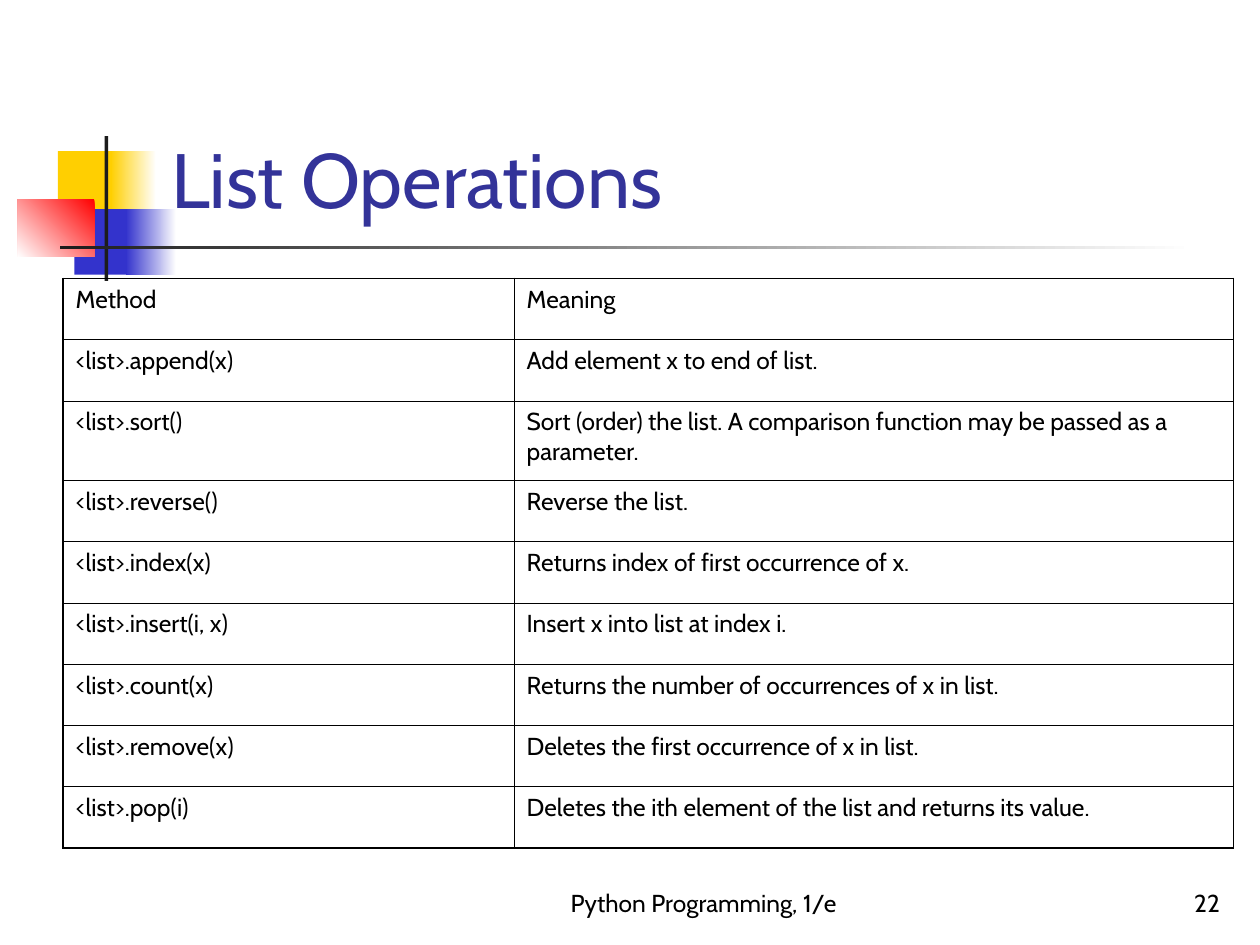
from pptx import Presentation
from pptx.dml.color import RGBColor
from pptx.enum import shapes, text
from pptx.oxml import parse_xml
from pptx.oxml.ns import nsdecls
from pptx.util import Inches, Pt

BLACK, WHITE, DARK = "000000", "FFFFFF", "1C1C1C"
YELLOW, BLUE, RED, NAVY = "FFCF01", "3333CC", "FF0000", "333399"
THIN, THICK = 0.45, 1.08
METHODS = [
    ("Method", "Meaning"),
    ("<list>.append(x)", "Add element x to end of list."),
    ("<list>.sort()", "Sort (order) the list. A comparison function may be passed as a parameter."),
    ("<list>.reverse()", "Reverse the list."),
    ("<list>.index(x)", "Returns index of first occurrence of x."),
    ("<list>.insert(i, x)", "Insert x into list at index i."),
    ("<list>.count(x)", "Returns the number of occurrences of x in list."),
    ("<list>.remove(x)", "Deletes the first occurrence of x in list."),
    ("<list>.pop(i)", "Deletes the ith element of the list and returns its value."),
]


def color(value):
    """Turn a hex string into a colour."""
    return RGBColor.from_string(value)


def style(font, size, value):
    """Apply the slide font at a size and colour."""
    for name, setting in {"name": "Cabin", "size": Pt(size), "bold": False}.items():
        setattr(font, name, setting)
    font.color.rgb = color(value)


def add_block(slide, box, colors, angle=180):
    """Draw a borderless rectangle with one colour or a two-colour gradient."""
    block = slide.shapes.add_shape(shapes.MSO_SHAPE.RECTANGLE, *map(Inches, box))
    block.shadow.inherit = False
    block.line.fill.background()
    if len(colors) == 1:
        block.fill.solid()
        block.fill.fore_color.rgb = color(colors[0])
        return
    block.fill.gradient()
    block.fill.gradient_angle = angle
    for stop, value in zip(block.fill.gradient_stops, colors):
        stop.color.rgb = color(value)


def add_emblem(slide, left, top):
    """Draw the overlapping squares and crossed bars from a top left corner."""
    for x, y, width, height, *fill in [
        (0.32, 0.12, 0.48, 0.52, [YELLOW]),
        (0.74, 0.12, 0.36, 0.52, [WHITE, YELLOW]),
        (0.45, 0.58, 0.46, 0.52, [BLUE]),
        (0.86, 0.58, 0.4, 0.52, [WHITE, BLUE]),
        (0, 0.5, 0.61, 0.46, [RED, WHITE], 225),
        (0.69, 0, 0.03, 1.15, [DARK]),
        (0.34, 0.87, 9, 0.03, [WHITE, DARK]),
    ]:
        add_block(slide, (left + x, top + y, width, height), *fill)


def add_label(slide, box, words, size, value, align):
    """Place one line of text on the bottom of its box."""
    frame = slide.shapes.add_textbox(*map(Inches, box)).text_frame
    settings = {"word_wrap": True, "vertical_anchor": text.MSO_ANCHOR.BOTTOM, "text": words}
    for name, setting in settings.items():
        setattr(frame, name, setting)
    line = frame.paragraphs[0]
    line.alignment = align
    style(line.font, size, value)


def add_borders(cell, widths):
    """Give a cell black borders with a width in points for each side."""
    properties = cell._tc.get_or_add_tcPr()
    for side, width in widths.items():
        properties.append(parse_xml(
            f'<a:ln{side} {nsdecls("a")} w="{Pt(width)}"><a:solidFill>'
            f'<a:srgbClr val="{BLACK}"/></a:solidFill></a:ln{side}>'))


def add_methods(slide, box):
    """Fill the box with the table of list methods."""
    last_row, last_column = len(METHODS) - 1, len(METHODS[0]) - 1
    grid = slide.shapes.add_table(last_row + 1, last_column + 1, *map(Inches, box)).table
    grid.first_row = grid.horz_banding = False
    for column, width in zip(grid.columns, (3.58, box[2] - 3.58)):
        column.width = Inches(width)
    wrapped_height = 0.63
    for r, entries in enumerate(METHODS):
        wrapped = r == 2
        grid.rows[r].height = Inches(wrapped_height if wrapped else (box[3] - wrapped_height) / last_row)
        for c, words in enumerate(entries):
            cell = grid.cell(r, c)
            outer = {"L": c == 0, "R": c == last_column, "T": r == 0, "B": r == last_row}
            add_borders(cell, {side: THICK if edge else THIN for side, edge in outer.items()})
            cell.fill.background()
            cell.text = words
            style(cell.text_frame.paragraphs[0].font, 14, BLACK)


def add_footer(slide, top, height):
    """Place the book name and the page number along the bottom."""
    for left, width, words, align in [
        (4, 3.17, "Python Programming, 1/e", text.PP_ALIGN.CENTER),
        (7.7, 2.08, "22", text.PP_ALIGN.RIGHT),
    ]:
        add_label(slide, (left, top, width, height), words, 14, BLACK, align)


def main():
    """Build and save the slide."""
    deck = Presentation()
    deck.slide_width, deck.slide_height = Inches(10), Inches(7.5)
    slide = deck.slides.add_slide(deck.slide_layouts[6])
    add_emblem(slide, 0.14, 1.08)
    add_label(slide, (1.26, 0.23, 8.52, 1.6), "List Operations", 44, NAVY, text.PP_ALIGN.LEFT)
    add_methods(slide, (0.5, 2.21, 9.29, 4.52))
    add_footer(slide, 6.83, 0.5)
    deck.save("out.pptx")


if __name__ == "__main__":
    main()
